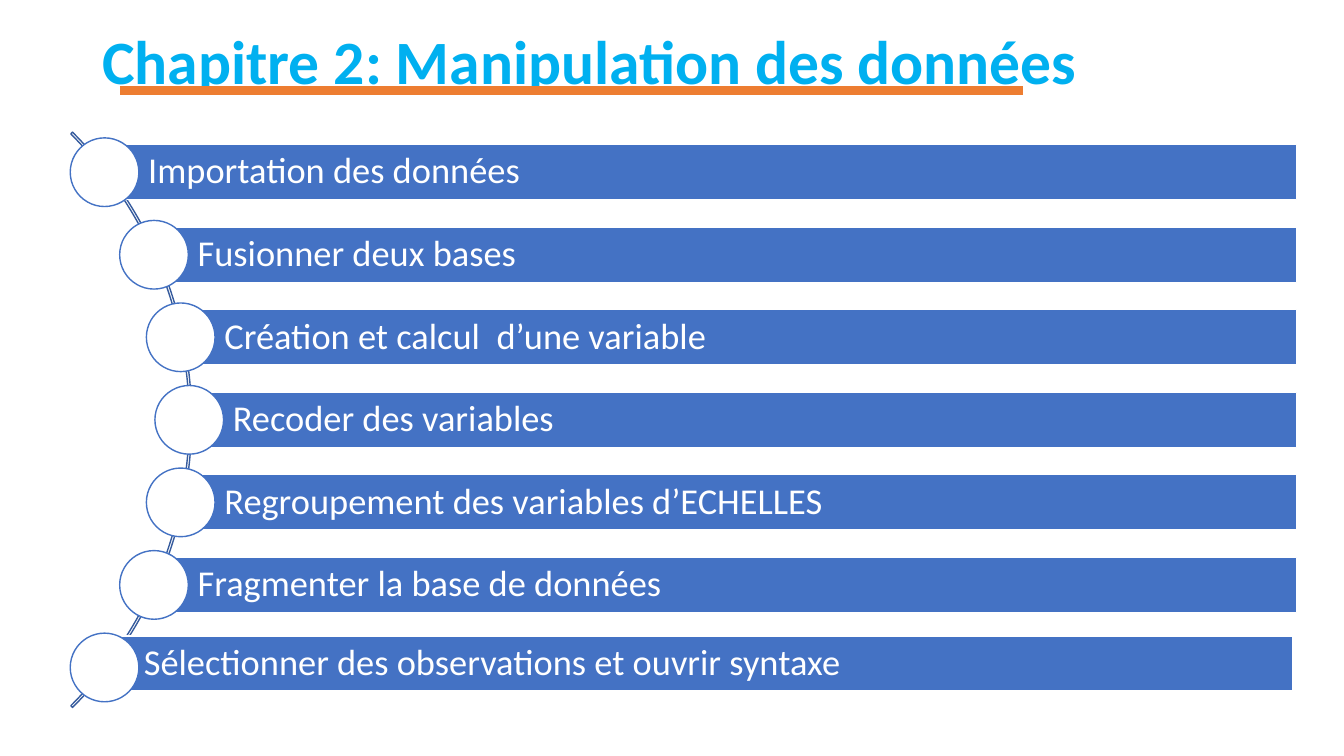
import math
from dataclasses import dataclass

import pptx
import pptx.dml.color
import pptx.enum.shapes
import pptx.enum.text
import pptx.oxml
import pptx.util
from pptx.util import Cm


@dataclass(frozen=True)
class Theme:
    font: str = "Calibri"
    title_size: float = 44
    item_size: float = 26
    outline_width: float = 1
    underline_width: float = 6
    title: str = "00B0F0"
    bar: str = "4472C4"
    arc: str = "365B9D"
    underline: str = "ED7D31"
    white: str = "FFFFFF"


@dataclass(frozen=True)
class Chapter:
    text: str
    bar_shift_x: float = 0
    bar_shift_y: float = 0


THEME = Theme()
SHAPES = pptx.enum.shapes.MSO_SHAPE

CHAPTERS = [
    Chapter("Importation des données"),
    Chapter("Fusionner deux bases"),
    Chapter("Création et calcul  d’une variable"),
    Chapter("Recoder des variables"),
    Chapter("Regroupement des variables d’ECHELLES"),
    Chapter("Fragmenter la base de données"),
    Chapter("Sélectionner des observations et ouvrir syntaxe", -0.11, -0.1),
]

# Lengths in centimetres
ARC_CENTRE_X, ARC_CENTRE_Y = -5.42, 10.58
ARC_DIAMETER = 20.5
NODE_ORBIT = 10.19
NODE_DIAMETER = 1.73
ROW_STEP = 2.08
BAR_HEIGHT = 1.39
BAR_RIGHT = 32.68


def rgb(code: str) -> pptx.dml.color.RGBColor:
    return pptx.dml.color.RGBColor.from_string(code)


def write_text(shape, text: str, *, size: float, color: str, bold: bool = False,
               left_inset: float = 0.25, inset: float = 0.18) -> None:
    frame = shape.text_frame
    frame.word_wrap = True
    frame.vertical_anchor = pptx.enum.text.MSO_ANCHOR.MIDDLE
    frame.margin_left = Cm(left_inset)
    frame.margin_top = frame.margin_right = frame.margin_bottom = Cm(inset)
    paragraph = frame.paragraphs[0]
    paragraph.alignment = pptx.enum.text.PP_ALIGN.LEFT
    paragraph.line_spacing = 0.9
    run = paragraph.add_run()
    run.text = text
    run.font.name = THEME.font
    run.font.size = pptx.util.Pt(size)
    run.font.bold = bold
    run.font.color.rgb = rgb(color)


def add_outlined_shape(slide, kind, left: float, top: float, width: float, height: float,
                       *, line: str, fill: str | None = None):
    shape = slide.shapes.add_shape(kind, Cm(left), Cm(top), Cm(width), Cm(height))
    shape.shadow.inherit = False
    if fill is None:
        shape.fill.background()
    else:
        shape.fill.solid()
        shape.fill.fore_color.rgb = rgb(fill)
    shape.line.color.rgb = rgb(line)
    shape.line.width = pptx.util.Pt(THEME.outline_width)
    return shape


def add_title(slide, text: str) -> None:
    title = slide.shapes.add_textbox(Cm(2.33), Cm(0.46), Cm(29.21), Cm(2.31))
    write_text(title, text, size=THEME.title_size, color=THEME.title, bold=True, inset=0.13)


def add_arc(slide) -> None:
    radius = ARC_DIAMETER / 2
    arc = add_outlined_shape(slide, SHAPES.BLOCK_ARC, ARC_CENTRE_X - radius,
                             ARC_CENTRE_Y - radius, ARC_DIAMETER, ARC_DIAMETER, line=THEME.arc)
    for index, value in enumerate((189, 27, 0.003)):
        arc.adjustments[index] = value


def add_chapter(slide, chapter: Chapter, offset_y: float) -> None:
    """Place a bar and its node on the arc, offset_y from the arc's centre."""
    x = ARC_CENTRE_X + math.sqrt(NODE_ORBIT ** 2 - offset_y ** 2)
    y = ARC_CENTRE_Y + offset_y
    bar = add_outlined_shape(slide, SHAPES.RECTANGLE, x + chapter.bar_shift_x,
                             y - BAR_HEIGHT / 2 + chapter.bar_shift_y,
                             BAR_RIGHT - x, BAR_HEIGHT, line=THEME.white, fill=THEME.bar)
    write_text(bar, chapter.text, size=THEME.item_size, color=THEME.white, left_inset=1.1)
    add_outlined_shape(slide, SHAPES.OVAL, x - NODE_DIAMETER / 2, y - NODE_DIAMETER / 2,
                       NODE_DIAMETER, NODE_DIAMETER, line=THEME.bar, fill=THEME.white)


def add_underline(slide) -> None:
    underline = slide.shapes.add_connector(pptx.enum.shapes.MSO_CONNECTOR.STRAIGHT,
                                           Cm(3.02), Cm(2.28), Cm(25.78), Cm(2.28))
    underline.line.color.rgb = rgb(THEME.underline)
    underline.line.width = pptx.util.Pt(THEME.underline_width)
    properties = underline.element.spPr
    properties.append(properties.makeelement(pptx.oxml.ns.qn("a:effectLst"), {}))


def main() -> None:
    presentation = pptx.Presentation()
    presentation.slide_width = Cm(33.87)
    presentation.slide_height = Cm(19.05)
    slide = presentation.slides.add_slide(presentation.slide_layouts[6])

    add_title(slide, "Chapitre 2: Manipulation des données")
    add_arc(slide)
    middle = (len(CHAPTERS) - 1) / 2
    for index, chapter in enumerate(CHAPTERS):
        add_chapter(slide, chapter, (index - middle) * ROW_STEP)
    add_underline(slide)
    presentation.save("out.pptx")


if __name__ == "__main__":
    main()
